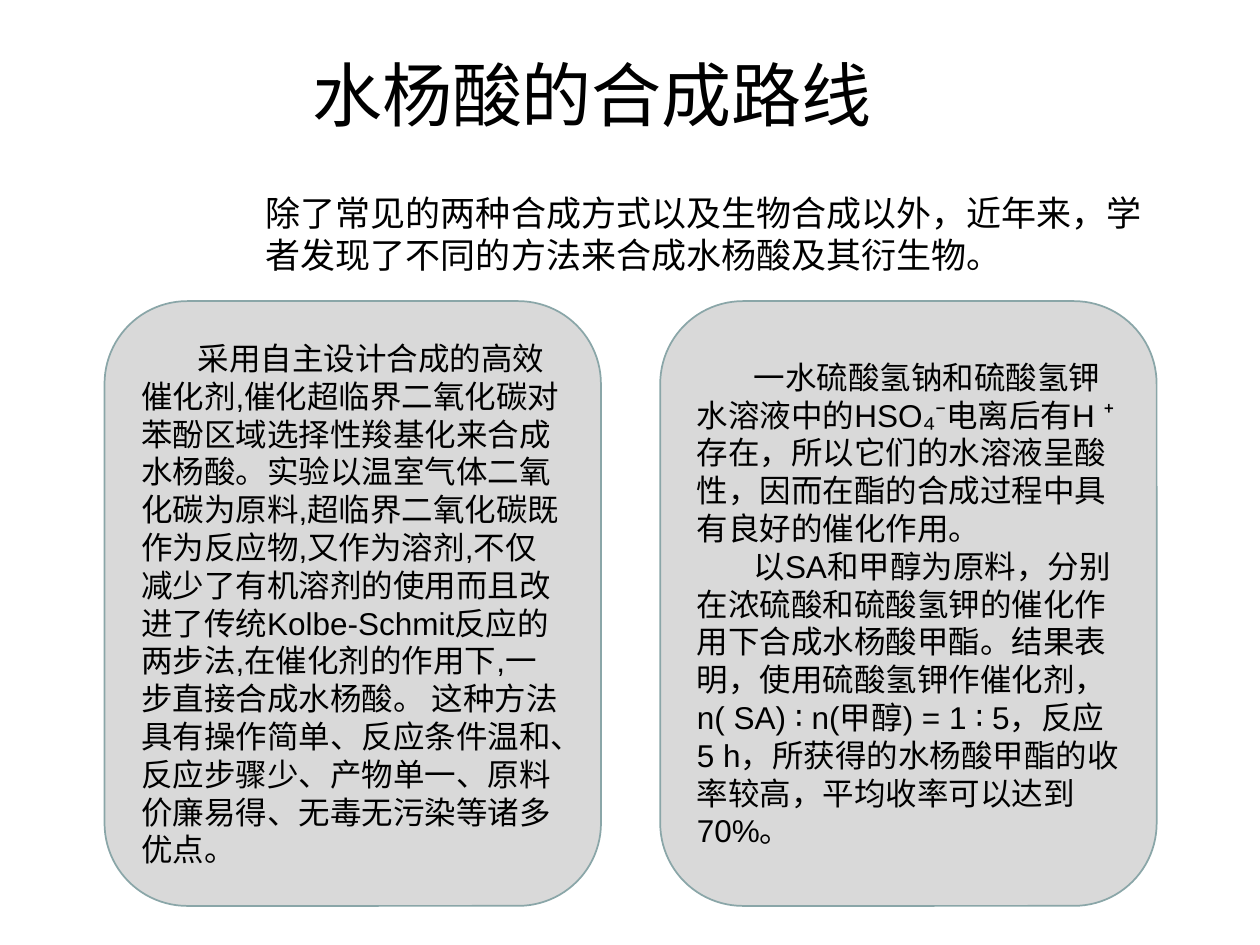
from pptx import Presentation
from pptx.dml.color import RGBColor
from pptx.enum.shapes import MSO_SHAPE as Shape
from pptx.enum.text import MSO_ANCHOR as Anchor, PP_ALIGN as Align
from pptx.util import Inches, Pt

BLACK = RGBColor(0x00, 0x00, 0x00)
GRAY = RGBColor(0xD9, 0xD9, 0xD9)
TEAL = RGBColor(0x8A, 0xA6, 0xA8)
SANS = "Noto Sans CJK SC"

deck = Presentation()
deck.slide_width, deck.slide_height = Inches(10), Inches(7.5)
slide = deck.slides.add_slide(deck.slide_layouts[6])


def write(shape, *lines, size=18, font="Arial", indent=0, anchor=Anchor.TOP):
    frame = shape.text_frame
    frame.word_wrap = True
    frame.vertical_anchor = anchor
    frame.text = "\n".join(lines)
    for para in frame.paragraphs:
        para.alignment = Align.LEFT
        para._p.get_or_add_pPr().set("indent", str(Inches(indent)))
        for run in para.runs:
            run.font.size = Pt(size)
            run.font.name = font
            run.font.color.rgb = BLACK


# Title and lead text
title = slide.shapes.add_textbox(Inches(2.38), Inches(0.36), Inches(5.24), Inches(0.95))
write(title, "水杨酸的合成路线", size=40, font=SANS)

lead = slide.shapes.add_textbox(Inches(2.01), Inches(1.47), Inches(7.41), Inches(0.92))
write(lead, "除了常见的两种合成方式以及生物合成以外，近年来，学者发现了不同的方法来合成水杨酸及其衍生物。",
      size=20, font=SANS)

# Two rounded cards, right one at the back
cards = [
    (5.24, [
        "一水硫酸氢钠和硫酸氢钾水溶液中的HSO₄⁻电离后有H ⁺存在，所以它们的水溶液呈酸性，"
        "因而在酯的合成过程中具有良好的催化作用。",
        "以SA和甲醇为原料，分别在浓硫酸和硫酸氢钾的催化作用下合成水杨酸甲酯。结果表明，"
        "使用硫酸氢钾作催化剂，n( SA) ∶ n(甲醇) = 1 ∶ 5，反应5 h，"
        "所获得的水杨酸甲酯的收率较高，平均收率可以达到70%。",
    ]),
    (0.83, [
        "采用自主设计合成的高效催化剂,催化超临界二氧化碳对苯酚区域选择性羧基化来合成水杨酸。"
        "实验以温室气体二氧化碳为原料,超临界二氧化碳既作为反应物,又作为溶剂,"
        "不仅减少了有机溶剂的使用而且改进了传统Kolbe-Schmit反应的两步法,"
        "在催化剂的作用下,一步直接合成水杨酸。 这种方法具有操作简单、反应条件温和、"
        "反应步骤少、产物单一、原料价廉易得、无毒无污染等诸多优点。",
    ]),
]
for left, lines in cards:
    card = slide.shapes.add_shape(Shape.ROUNDED_RECTANGLE, Inches(left), Inches(2.39),
                                  Inches(3.94), Inches(4.8))
    card.shadow.inherit = False
    card.fill.solid()
    card.fill.fore_color.rgb = GRAY
    card.line.color.rgb = TEAL
    card.line.width = Pt(1)
    write(card, *lines, indent=0.45, anchor=Anchor.MIDDLE)

deck.save("out.pptx")
